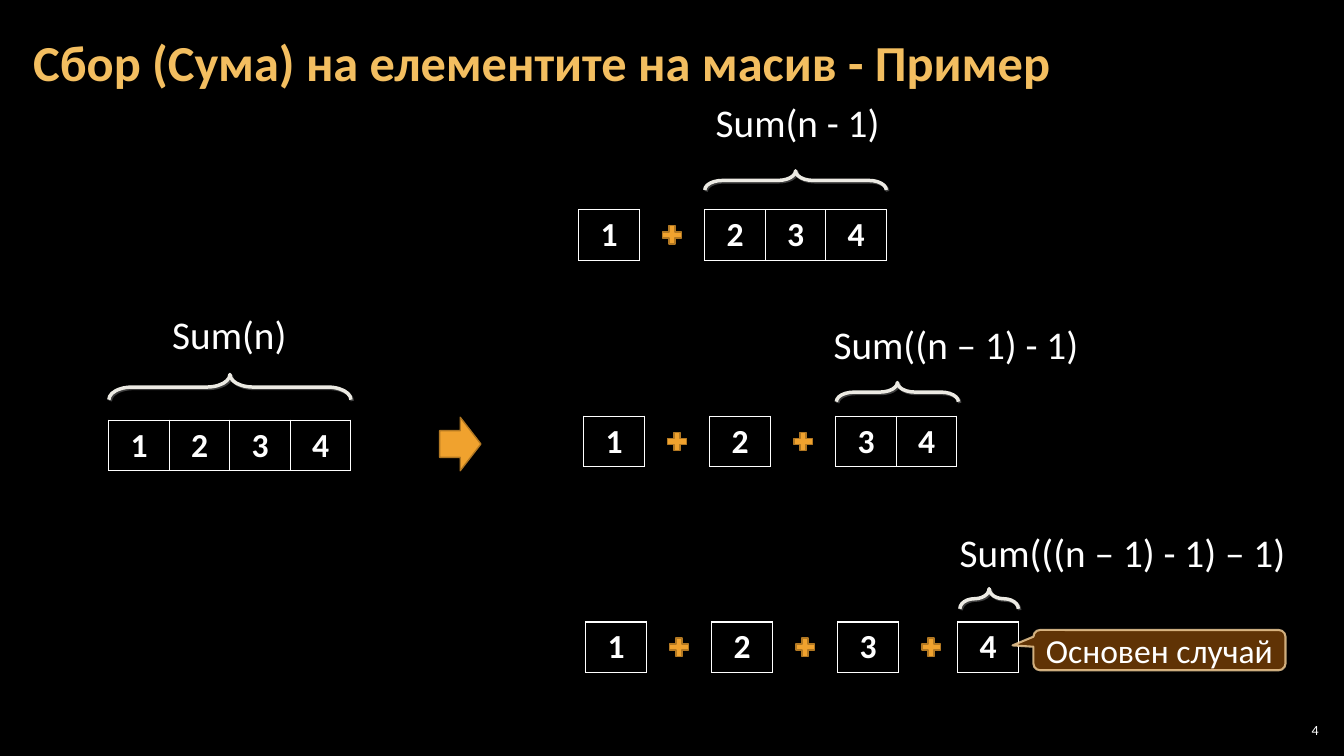
from lxml import etree
from pptx import Presentation
from pptx import util as u
from pptx.dml.color import RGBColor
from pptx.enum import shapes, text
from pptx.oxml import ns

BLACK = RGBColor(0x00, 0x00, 0x00)
WHITE = RGBColor(0xFF, 0xFF, 0xFF)
GOLD = RGBColor(0xF3, 0xBE, 0x60)
ORANGE = RGBColor(0xF0, 0xA2, 0x2E)
OCHRE = RGBColor(0xB2, 0x78, 0x22)
BROWN = RGBColor(0x66, 0x36, 0x06)
SAND = RGBColor(0xF8, 0xD4, 0x9E)
IVORY = RGBColor(0xEC, 0xEA, 0xE3)
SHADOW = RGBColor(0x40, 0x40, 0x40)

CELL_WIDTH, CELL_HEIGHT = 0.6, 0.5
STEP = 1.25  # from one separate element to the next
PLUS_SIZE = 0.25
LEFT, CENTER, RIGHT = text.PP_ALIGN.LEFT, text.PP_ALIGN.CENTER, text.PP_ALIGN.RIGHT
MIDDLE = text.MSO_ANCHOR.MIDDLE


def add_node(parent, tag, **attributes):
    return etree.SubElement(parent, ns.qn(tag), attributes)


class SlideBuilder:
    font = "Calibri"

    def __init__(self, slide):
        self.slide = slide
        slide.background.fill.solid()
        slide.background.fill.fore_color.rgb = BLACK

    def add_words(self, frame, words, size, color=WHITE, bold=False, align=LEFT):
        para = frame.paragraphs[0]
        para.alignment = align
        span = para.add_run()
        span.text = words
        span.font.name, span.font.size = self.font, u.Pt(size)
        span.font.bold, span.font.color.rgb = bold, color
        return para

    def label(self, words, left, top, width, height, size, wrap=False,
              margins=(0.1, 0.05), anchor=text.MSO_ANCHOR.TOP, **style):
        box = self.slide.shapes.add_textbox(*map(u.Inches, (left, top, width, height)))
        frame = box.text_frame
        frame.word_wrap, frame.vertical_anchor = wrap, anchor
        frame.margin_left = frame.margin_right = u.Inches(margins[0])
        frame.margin_top = frame.margin_bottom = u.Inches(margins[1])
        if not wrap:
            frame.auto_size = text.MSO_AUTO_SIZE.SHAPE_TO_FIT_TEXT
        return self.add_words(frame, words, size, **style)

    def shape(self, kind, left, top, width, height, fill=ORANGE, line=OCHRE, weight=1):
        shape = self.slide.shapes.add_shape(
            kind, *map(u.Inches, (left, top, width, height)))
        shape.shadow.inherit = False
        if fill is None:
            shape.fill.background()
        else:
            shape.fill.solid()
            shape.fill.fore_color.rgb = fill
        shape.line.color.rgb, shape.line.width = line, u.Pt(weight)
        return shape

    def brace(self, center_x, center_y, span, depth):
        brace = self.shape(shapes.MSO_SHAPE.LEFT_BRACE, center_x - depth / 2,
                           center_y - span / 2, depth, span, None, IVORY, 2.5)
        brace.rotation = 90
        brace.adjustments[0], brace.adjustments[1] = 0.919, 0.5
        effects = brace._element.spPr.find(ns.qn("a:effectLst"))
        shadow = add_node(effects, "a:outerShdw", blurRad="0", dist=str(u.Pt(1.4)),
                          dir="2700000", algn="tl", rotWithShape="0")
        add_node(shadow, "a:srgbClr", val=str(SHADOW))

    def array(self, values, left, top):
        frame = self.slide.shapes.add_table(
            1, len(values), u.Inches(left), u.Inches(top),
            u.Inches(CELL_WIDTH * len(values)), u.Inches(CELL_HEIGHT))
        table = frame.table
        table.first_row = table.horz_banding = False
        for column, value in enumerate(values):
            table.columns[column].width = u.Inches(CELL_WIDTH)
            cell = table.cell(0, column)
            cell.fill.background()
            self.add_words(cell.text_frame, str(value), 24, bold=True, align=CENTER)
            self.border(cell)

    def border(self, cell):
        properties = cell._tc.get_or_add_tcPr()
        for place, side in enumerate(("a:lnL", "a:lnR", "a:lnT", "a:lnB")):
            line = add_node(properties, side, w=str(u.Pt(1)))
            add_node(add_node(line, "a:solidFill"), "a:srgbClr", val=str(WHITE))
            properties.insert(place, line)

    def sum_row(self, left, top, singles, rest, rest_left):
        for index, value in enumerate(singles):
            x = left + STEP * index
            self.array([value], x, top)
            self.shape(shapes.MSO_SHAPE.MATH_PLUS, x + 0.8,
                       top + (CELL_HEIGHT - PLUS_SIZE) / 2, PLUS_SIZE, PLUS_SIZE)
        self.array(rest, rest_left, top)

    def callout(self, words, left, top, width, height):
        callout = self.shape(shapes.MSO_SHAPE.ROUNDED_RECTANGULAR_CALLOUT,
                             left, top, width, height, BROWN, SAND, 1.5)
        for index, value in enumerate((-0.583, -0.117, 0.167)):
            callout.adjustments[index] = value
        colors = callout._element.spPr.iter(ns.qn("a:srgbClr"))
        for color, alpha in zip(list(colors), ("95000", "80000")):
            add_node(color, "a:alpha", val=alpha)
        callout.text_frame.vertical_anchor = MIDDLE
        callout.text_frame.word_wrap = True
        self.add_words(callout.text_frame, words, 24, align=CENTER)


def main():
    deck = Presentation()
    deck.slide_width, deck.slide_height = u.Inches(13.33), u.Inches(7.5)
    page = SlideBuilder(deck.slides.add_slide(deck.slide_layouts[6]))

    # Title and page number
    title = page.label("Сбор (Сума) на елементите на масив - Пример", 0.21, 0.04,
                       10.47, 1.21, 36, wrap=True, margins=(0.12, 0.04),
                       anchor=MIDDLE, color=GOLD, bold=True)
    title.line_spacing = 0.9
    page.label("4", 12.65, 7.14, 0.47, 0.21, 10, wrap=True, margins=(0.04, 0.04),
               anchor=MIDDLE, align=RIGHT)

    # Whole array and the arrow to its expansion
    page.array([1, 2, 3, 4], 1.08, 4.17)
    page.shape(shapes.MSO_SHAPE.RIGHT_ARROW, 4.36, 4.14, 0.41, 0.53)

    # Recursion steps: separate elements plus the remaining array
    page.sum_row(5.74, 2.08, [1], [2, 3, 4], 6.99)
    page.sum_row(5.79, 4.13, [1, 2], [3, 4], 8.29)
    page.sum_row(5.81, 6.17, [1, 2, 3], [4], 9.5)
    page.callout("Основен случай", 10.25, 6.25, 2.5, 0.4)

    # Braces: center x, center y, span, depth
    for brace in ((2.28, 3.84, 2.4, 0.25), (7.89, 1.79, 1.8, 0.19),
                  (8.9, 3.89, 1.21, 0.19), (9.81, 5.94, 0.58, 0.2)):
        page.brace(*brace)

    # Names of the sums
    for words, left, top, width in (("Sum(n)", 1.61, 3.03, 1.35),
                                    ("Sum(n - 1)", 7, 0.93, 1.85),
                                    ("Sum((n – 1) - 1)", 8.17, 3.13, 2.66),
                                    ("Sum(((n – 1) - 1) – 1)", 9.42, 5.19, 3.59)):
        page.label(words, left, top, width, 0.57, 28)

    deck.save("out.pptx")


if __name__ == "__main__":
    main()
